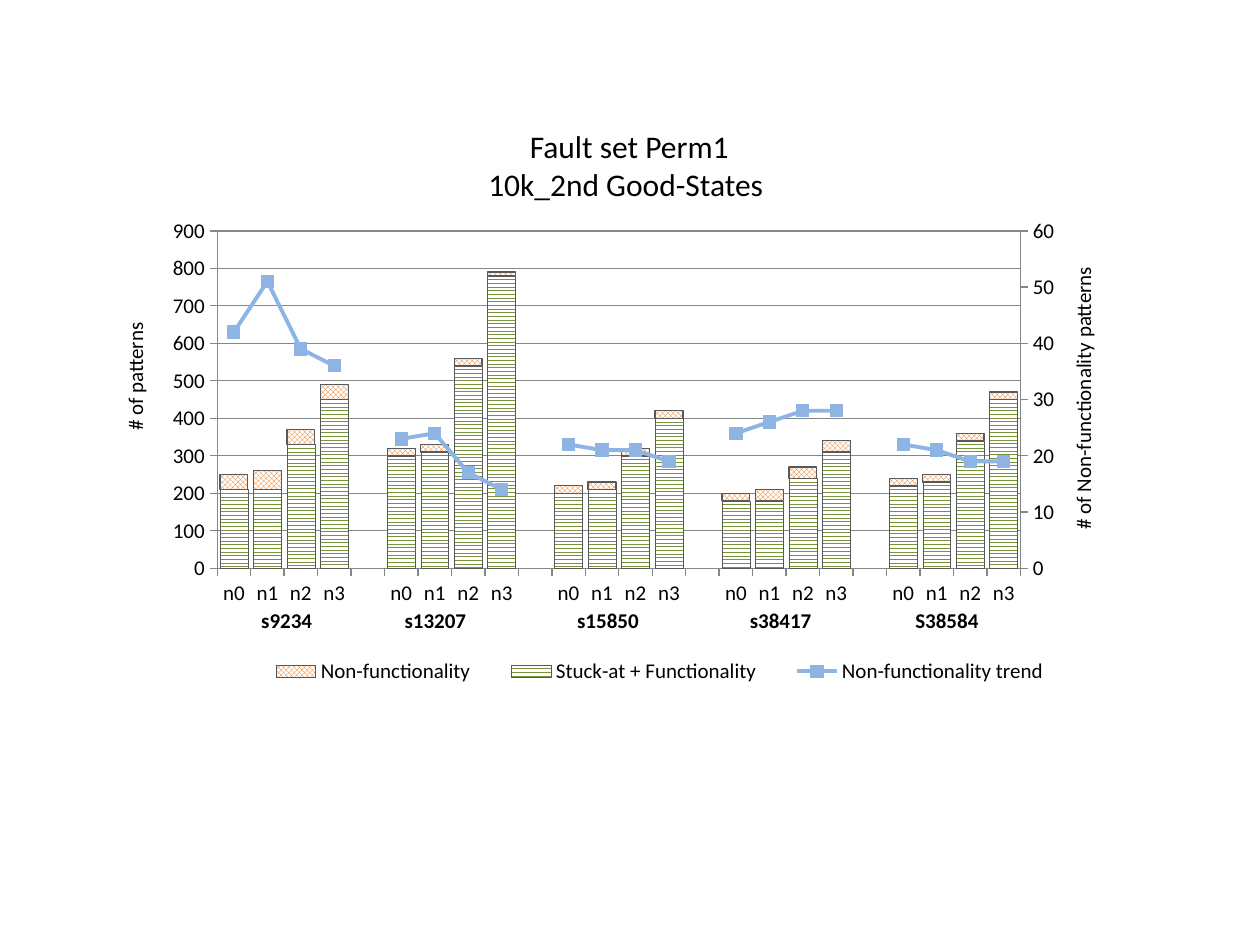
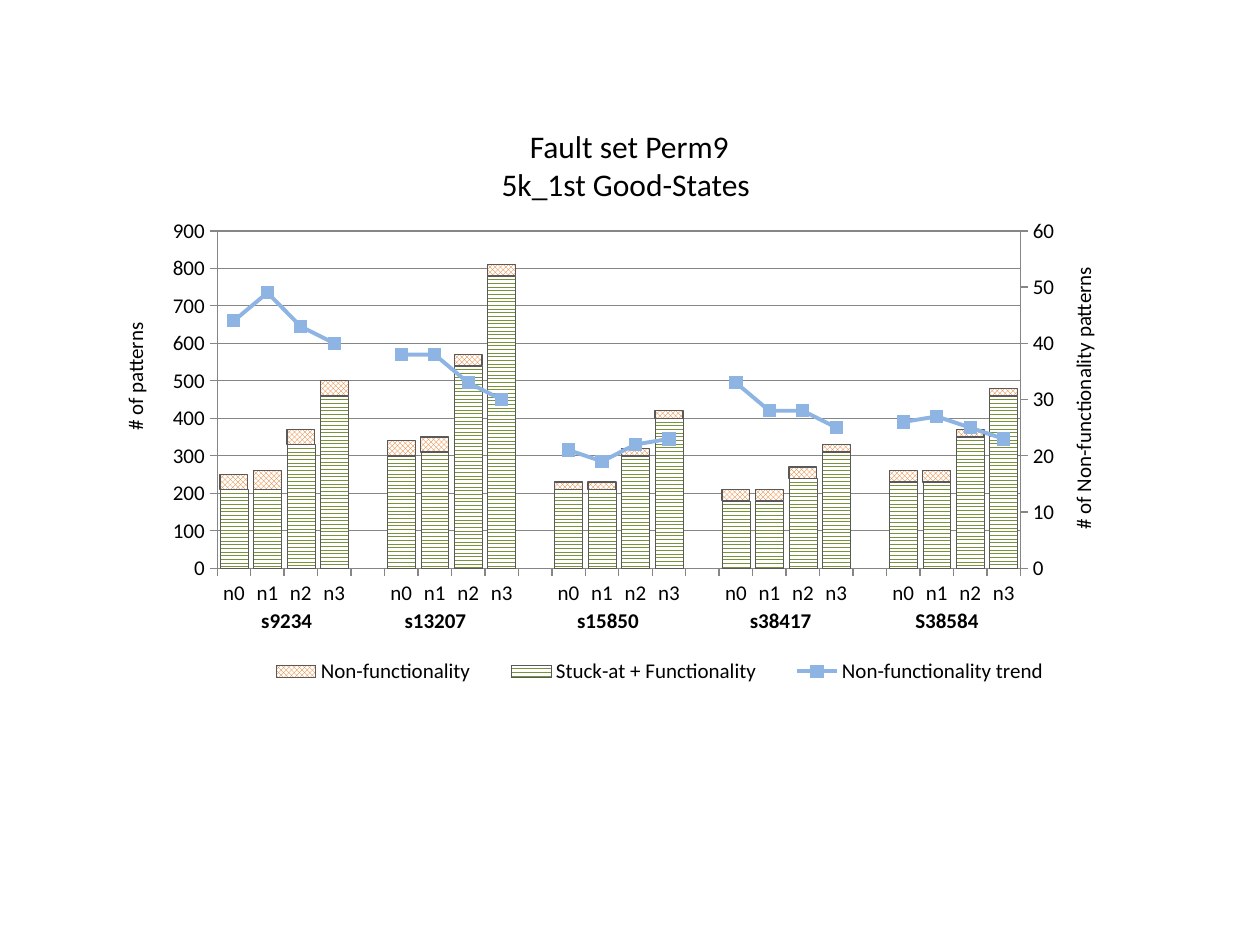
from copy import deepcopy

from pptx import Presentation
from pptx.chart.axis import CategoryAxis, ValueAxis
from pptx.chart.data import CategoryChartData
from pptx.dml.color import RGBColor
from pptx.enum.chart import (XL_CHART_TYPE, XL_LEGEND_POSITION, XL_MARKER_STYLE,
                             XL_TICK_LABEL_POSITION, XL_TICK_MARK)
from pptx.enum.dml import MSO_PATTERN
from pptx.enum.text import MSO_ANCHOR, MSO_AUTO_SIZE, PP_ALIGN
from pptx.oxml import parse_xml
from pptx.oxml.ns import nsdecls, qn
from pptx.util import Inches, Pt

STACKED = XL_CHART_TYPE.COLUMN_STACKED
LEGEND_RIGHT = XL_LEGEND_POSITION.RIGHT
SQUARE = XL_MARKER_STYLE.SQUARE
OUTSIDE = XL_TICK_MARK.OUTSIDE
LABELS_HIGH = XL_TICK_LABEL_POSITION.HIGH
CENTER = PP_ALIGN.CENTER
TOP = MSO_ANCHOR.TOP
NO_AUTOFIT = MSO_AUTO_SIZE.NONE

FONT = "Calibri"
BLACK, WHITE = "000000", "FFFFFF"
AXIS_GRAY, BAR_EDGE = "868686", "595959"
TREND_BLUE, MARKER_BLUE = "8EB4E3", "558ED5"
TITLE_ONLY = 5

# name, pattern, pattern colour, outline width
BAR_STYLES = [
    ("Stuck-at + Functionality", MSO_PATTERN.ZIG_ZAG, "77933C", 0.25),
    ("Non-functionality", MSO_PATTERN.TRELLIS, "E46C0A", 0.75),
]
TREND_NAME = "Non-functionality trend"

# text, left, top, width, rotation, bold
LABELS = [(circuit, left, 4.77, 0.95, 0, True) for circuit, left in [
    ("s9234", 1.8), ("s13207", 2.98), ("s15850", 4.35), ("s38417", 5.72), ("S38584", 7.04)]]
LABELS += [
    ("# of patterns", 0.18, 2.84, 1.78, 270, False),
    ("# of Non-functionality patterns", 6.47, 3.01, 4.25, 270, False),
]

# Each row of values holds n0 to n3 for one circuit
PAGES = [
    {
        "title": ["Fault set Perm1", "10k_2nd Good-States "],
        "stuck_at": [[210, 210, 330, 450], [300, 310, 540, 780], [200, 210, 300, 400],
                     [180, 180, 240, 310], [220, 230, 340, 450]],
        "non_functional": [[40, 50, 40, 40], [20, 20, 20, 10], [20, 20, 20, 20],
                           [20, 30, 30, 30], [20, 20, 20, 20]],
        "trend": [[42, 51, 39, 36], [23, 24, 17, 14], [22, 21, 21, 19],
                  [24, 26, 28, 28], [22, 21, 19, 19]],
    },
    {
        "title": ["Fault set Perm9", "5k_1st Good-States "],
        "stuck_at": [[210, 210, 330, 460], [300, 310, 540, 780], [210, 210, 300, 400],
                     [180, 180, 240, 310], [230, 230, 350, 460]],
        "non_functional": [[40, 50, 40, 40], [40, 40, 30, 30], [20, 20, 20, 20],
                           [30, 30, 30, 20], [30, 30, 20, 20]],
        "trend": [[44, 49, 43, 40], [38, 38, 33, 30], [21, 19, 22, 23],
                  [33, 28, 28, 25], [26, 27, 25, 23]],
    },
]


def rgb(hex_string):
    return RGBColor.from_string(hex_string)


def place(parent, index, target, left, top, width, height):
    """Give a chart part a manual layout, in fractions of the chart."""
    for old in parent.findall(qn("c:layout")):
        parent.remove(old)
    inner = '<c:layoutTarget val="inner"/>' if target == "plot" else ""
    parent.insert(index, parse_xml(
        f'<c:layout {nsdecls("c")}><c:manualLayout>{inner}'
        '<c:xMode val="edge"/><c:yMode val="edge"/>'
        f'<c:x val="{left}"/><c:y val="{top}"/><c:w val="{width}"/><c:h val="{height}"/>'
        '</c:manualLayout></c:layout>'))


deck = Presentation()
deck.slide_width, deck.slide_height = Inches(10), Inches(7.5)

for content in PAGES:
    page = deck.slides.add_slide(deck.slide_layouts[TITLE_ONLY])

    # Data: an empty category separates the circuits
    data = CategoryChartData()
    data.categories = (["n0", "n1", "n2", "n3", ""] * 5)[:-1]
    names = [style[0] for style in BAR_STYLES] + [TREND_NAME]
    for name, key in zip(names, ["stuck_at", "non_functional", "trend"]):
        values = [value for circuit in content[key] for value in circuit + [None]]
        data.add_series(name, values[:-1])
    chart = page.shapes.add_chart(STACKED, Inches(0.83), Inches(1.07),
                                  Inches(7.91), Inches(4.54), data).chart
    chart.has_title = False
    chart.font.name, chart.font.size = FONT, Pt(12)
    chart.font.color.rgb = rgb(BLACK)

    # Stacked bars
    bars = chart.plots[0]
    bars.gap_width, bars.overlap = 20, 100
    bars.vary_by_categories = False
    for series, (_, pattern, color, width) in zip(bars.series, BAR_STYLES):
        fill = series.format.fill
        fill.patterned()
        fill.pattern = pattern
        fill.fore_color.rgb, fill.back_color.rgb = rgb(color), rgb(WHITE)
        series.format.line.color.rgb = rgb(BAR_EDGE)
        series.format.line.width = Pt(width)

    # Left and bottom axes
    bottom, left_axis = chart.category_axis, chart.value_axis
    for axis in (bottom, left_axis):
        axis.major_tick_mark = OUTSIDE
        axis.tick_labels.font.size = Pt(12)
        axis.format.line.color.rgb = rgb(AXIS_GRAY)
    left_axis.minimum_scale, left_axis.maximum_scale, left_axis.major_unit = 0, 900, 100
    left_axis.major_gridlines.format.line.color.rgb = rgb(AXIS_GRAY)

    # Trend line on a second pair of axes
    bar_xml = chart.plots[0]._element
    plot_area = bar_xml.getparent()
    trend_xml = bar_xml.findall(qn("c:ser"))[2]
    for flag in trend_xml.findall(qn("c:invertIfNegative")):
        trend_xml.remove(flag)
    line_xml = parse_xml(
        f'<c:lineChart {nsdecls("c")}><c:grouping val="standard"/><c:varyColors val="0"/>'
        '<c:marker val="1"/><c:axId val="5001"/><c:axId val="5002"/></c:lineChart>')
    line_xml.insert(2, trend_xml)
    bar_xml.addnext(line_xml)

    cat_xml, val_xml = plot_area.find(qn("c:catAx")), plot_area.find(qn("c:valAx"))
    hidden_xml, right_xml = deepcopy(cat_xml), deepcopy(val_xml)
    for axis_xml, own, other, crossing in [(hidden_xml, "5001", "5002", "autoZero"),
                                           (right_xml, "5002", "5001", "max")]:
        axis_xml.find(qn("c:axId")).set("val", own)
        axis_xml.find(qn("c:crossAx")).set("val", other)
        axis_xml.find(qn("c:crosses")).set("val", crossing)
    right_xml.find(qn("c:axPos")).set("val", "r")
    val_xml.addnext(right_xml)
    right_xml.addnext(hidden_xml)
    right_axis, hidden_axis = ValueAxis(right_xml), CategoryAxis(hidden_xml)
    right_axis.maximum_scale, right_axis.major_unit = 60, 10
    right_axis.has_major_gridlines = False
    right_axis.tick_label_position = LABELS_HIGH
    hidden_axis.visible = False

    trend = chart.plots[1].series[0]
    trend.smooth = False
    trend.format.line.color.rgb = rgb(TREND_BLUE)
    trend.format.line.width = Pt(2.25)
    marker = trend.marker
    marker.style, marker.size = SQUARE, 7
    marker.format.fill.solid()
    marker.format.fill.fore_color.rgb = rgb(MARKER_BLUE)
    marker.format.line.color.rgb = rgb(TREND_BLUE)
    marker.format.line.width = Pt(0.75)

    chart.has_legend = True
    chart.legend.position = LEGEND_RIGHT
    chart.legend.include_in_layout = False
    chart.legend.font.size = Pt(12)
    place(plot_area, 0, "plot", 0.113, 0.168, 0.806, 0.59)
    place(chart.legend._element, 1, "legend", 0.138, 0.898, 0.838, 0.08)

    # Circuit names and axis titles
    for text, left, top, width, rotation, bold in LABELS:
        box = page.shapes.add_textbox(Inches(left), Inches(top), Inches(width), Inches(0.3))
        box.rotation = rotation
        box.text_frame.word_wrap = True
        para = box.text_frame.paragraphs[0]
        para.text, para.alignment = text, CENTER
        for name, value in {"name": FONT, "size": Pt(12), "bold": bold}.items():
            setattr(para.font, name, value)
        para.font.color.rgb = rgb(BLACK)

    # Title, in front of the chart
    title = page.shapes.title
    title.left, title.top = Inches(3.68), Inches(0.96)
    title.width, title.height = Inches(2.63), Inches(0.71)
    frame = title.text_frame
    frame.text = "\n".join(content["title"])
    frame.auto_size, frame.vertical_anchor = NO_AUTOFIT, TOP
    for para in frame.paragraphs:
        para.alignment = CENTER
        para.font.name, para.font.size = FONT, Pt(18)
        para.font.color.rgb = rgb(BLACK)
    page.shapes._spTree.append(title._element)

deck.save("out.pptx")
